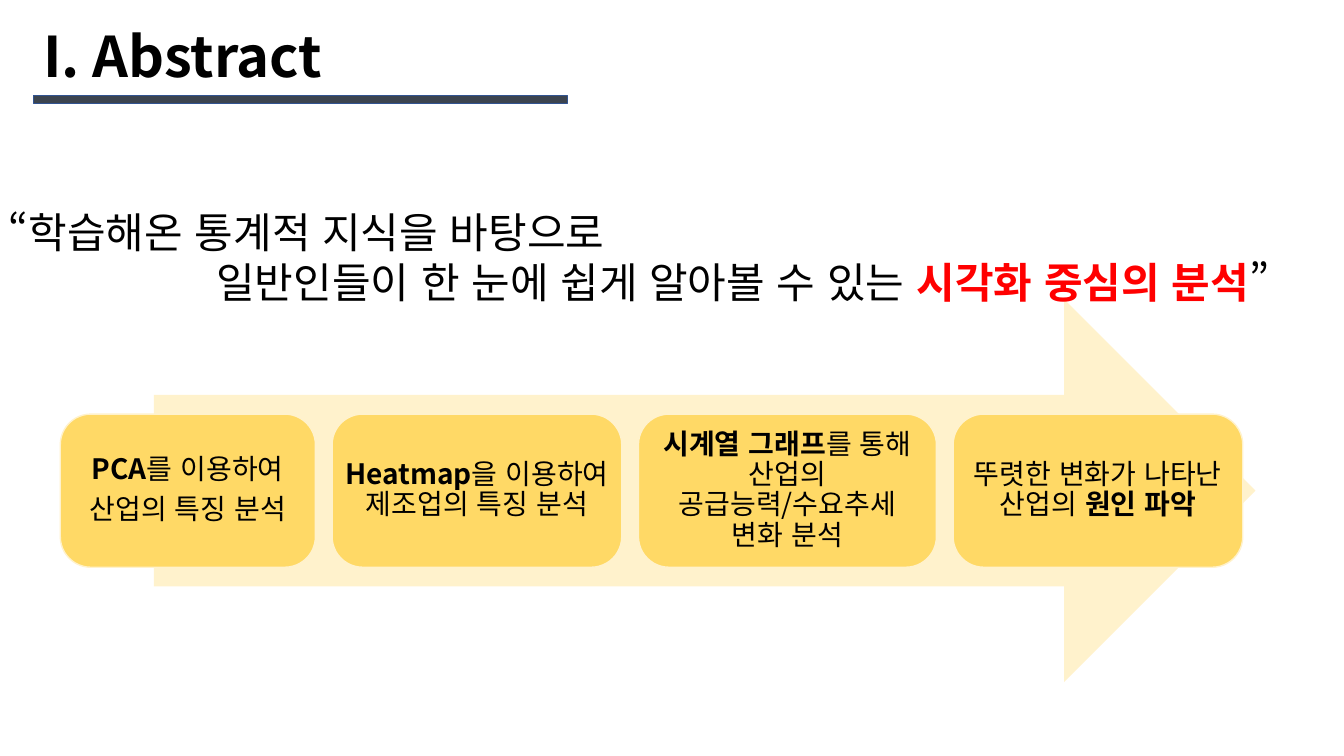
from lxml import etree
from pptx import Presentation
from pptx import util as u
from pptx.dml.color import RGBColor
from pptx.enum import lang, shapes, text
from pptx.oxml.ns import qn

FONT = "Noto Sans CJK KR"
BLACK, RED = "000000", "FF0000"
STEPS = [
    (6.43, [[("PCA", True), ("를 이용하여", False)], [("산업의 특징 분석", False)]]),
    (7.3, [[("Heatmap", True), ("을 이용하여 제조업의 특징 분석", False)]]),
    (7.51, [[("시계열 그래프", True), ("를 통해 산업의 공급능력/수요추세 변화 분석", False)]]),
    (7.3, [[("뚜렷한 변화가 나타난 산업의 ", False), ("원인 파악", True)]]),
]


def color(code):
    """Turn a hex string into a colour."""
    return RGBColor.from_string(code)


def add_run(paragraph, words, size, bold=False, ink=BLACK):
    """Append one styled run to a paragraph."""
    run = paragraph.add_run()
    run.text = words
    font = run.font
    font.name, font.size, font.bold = FONT, u.Pt(size), bold
    font.color.rgb = color(ink)
    font.language_id = lang.MSO_LANGUAGE_ID.KOREAN
    etree.SubElement(run._r.get_or_add_rPr(), qn("a:ea"), typeface=FONT)


def add_block(parent, kind, box, fill, line=None):
    """Add a filled preset shape in a box given in centimetres."""
    block = parent.shapes.add_shape(kind, *map(u.Cm, box))
    block.shadow.inherit = False
    block.fill.solid()
    block.fill.fore_color.rgb = color(fill)
    if line:
        block.line.color.rgb = color(line)
        block.line.width = u.Pt(1)
    else:
        block.line.fill.background()
    return block


def add_words(slide, box):
    """Add a wrapping text box and return its text frame."""
    frame = slide.shapes.add_textbox(*map(u.Cm, box)).text_frame
    frame.word_wrap = True
    return frame


def add_heading(slide, left, top, width):
    """Place the title with its rule underneath."""
    title = add_words(slide, (left, top, width, 1.96))
    add_run(title.paragraphs[0], "I. Abstract", 40, bold=True)
    rule = (left, top + 1.98, 13.46, 0.2)
    add_block(slide, shapes.MSO_SHAPE.RECTANGLE, rule, "3C444F", "325491")


def add_process(slide, left, top, height):
    """Place the arrow with the row of step boxes across its middle."""
    process = slide.shapes.add_group_shape()
    arrow = (left + 2.36, top, 27.76, height)
    add_block(process, shapes.MSO_SHAPE.RIGHT_ARROW, arrow, "FFF2CC")
    step_height, gap = height * 0.4, 0.42
    step_top = top + (height - step_height) / 2
    for width, paragraphs in STEPS:
        step = add_block(process, shapes.MSO_SHAPE.ROUNDED_RECTANGLE,
                         (left, step_top, width, step_height), "FFD966", "FFF2CC")
        step.adjustments[0] = 0.2
        frame = step.text_frame
        frame.word_wrap = True
        frame.vertical_anchor = text.MSO_ANCHOR.MIDDLE
        frame.margin_left = frame.margin_right = u.Cm(0.08)
        frame.margin_top = frame.margin_bottom = u.Cm(0.08)
        for index, runs in enumerate(paragraphs):
            paragraph = frame.add_paragraph() if index else frame.paragraphs[0]
            paragraph.alignment = text.PP_ALIGN.CENTER
            paragraph.line_spacing = 0.9
            paragraph.space_after = u.Pt(7)
            for words, bold in runs:
                add_run(paragraph, words, 20, bold)
        left += width + gap


def add_quote(slide, left, top, width):
    """Place the two-line quotation, its second line indented."""
    quote = add_words(slide, (left, top, width, 2.82))
    add_run(quote.paragraphs[0], "“학습해온 통계적 지식을 바탕으로", 30)
    ending = quote.add_paragraph()
    ending._p.get_or_add_pPr().set("marL", str(u.Cm(5.23)))
    add_run(ending, "일반인들이 한 눈에 쉽게 알아볼 수 있는 ", 30)
    add_run(ending, "시각화 중심의 분석", 30, bold=True, ink=RED)
    add_run(ending, "”", 30)


def main():
    """Build the abstract slide and save it."""
    deck = Presentation()
    deck.slide_width, deck.slide_height = u.Cm(33.87), u.Cm(19.05)
    slide = deck.slides.add_slide(deck.slide_layouts[6])
    add_heading(slide, 0.84, 0.43, 16.94)
    add_process(slide, 1.52, 7.54, 9.65)
    add_quote(slide, -0.03, 5.08, 34.52)
    deck.save("out.pptx")


if __name__ == "__main__":
    main()
